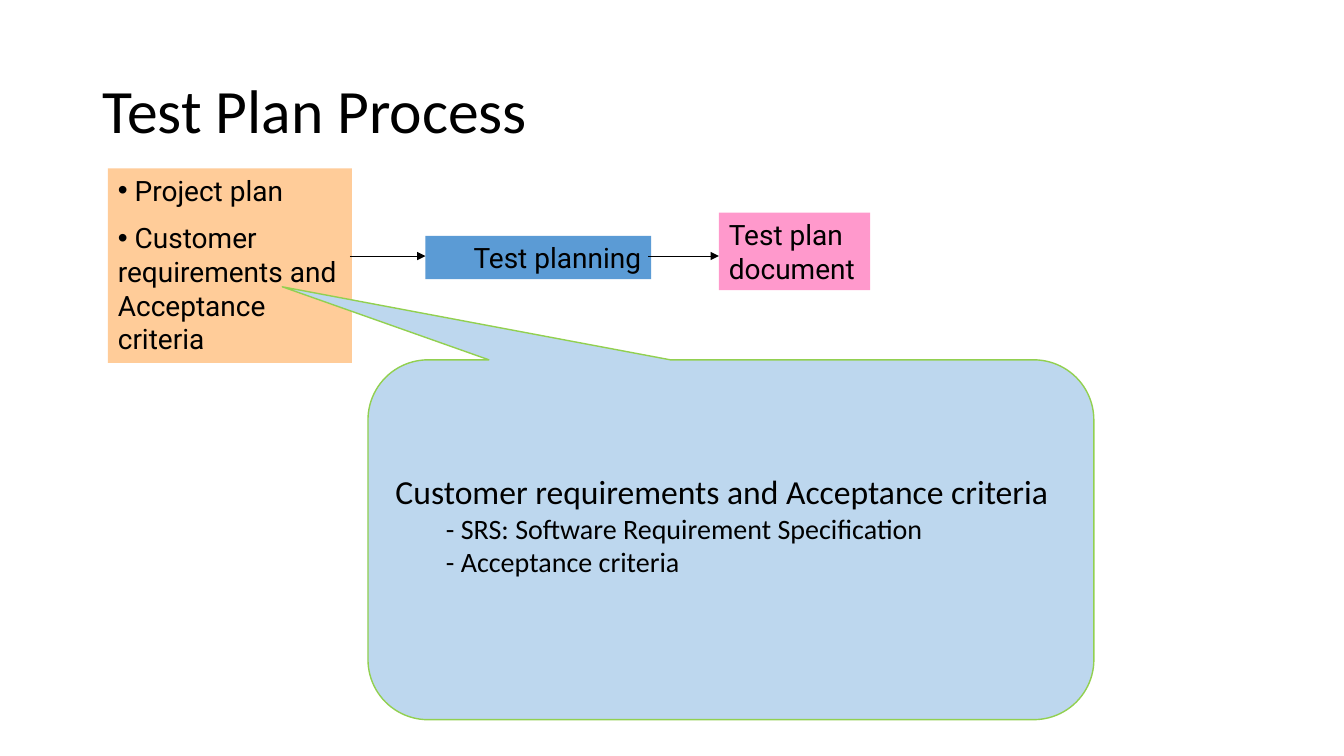
from pptx import Presentation
from pptx.dml.color import RGBColor
from pptx.enum.shapes import MSO_CONNECTOR as Conn, MSO_SHAPE as Shape
from pptx.enum.text import MSO_ANCHOR as Anchor, PP_ALIGN as Align
from pptx.oxml.ns import qn
from pptx.util import Inches, Pt
from lxml.etree import SubElement

BLACK = RGBColor(0x00, 0x00, 0x00)
BLUE = RGBColor(0x5B, 0x9B, 0xD5)
ORANGE = RGBColor(0xFF, 0xCC, 0x99)
PINK = RGBColor(0xFF, 0x99, 0xCC)
PALE_BLUE = RGBColor(0xBD, 0xD7, 0xEE)
GREEN = RGBColor(0x92, 0xD0, 0x50)
W, H = Inches(13.33), Inches(7.5)


def place(x, y, *size):
    """Turn percentages of the slide's width and height into lengths."""
    shares = (x, y, *size)
    return [round(v / 100 * (H if i % 2 else W)) for i, v in enumerate(shares)]


def add_text(tf, text, size=20, font="Roboto", align=Align.LEFT,
             bullet=None, before=0, indent=0, spacing=None):
    """Write one paragraph, using the empty first one if it is free."""
    p = tf.paragraphs[0]
    if p.runs:
        p = tf.add_paragraph()
    p.alignment, p.space_before, p.line_spacing = align, Pt(before), spacing
    pPr = p._p.get_or_add_pPr()
    pPr.set("marL", str(Inches(indent)))
    pPr.set("indent", "0")
    if bullet:
        SubElement(pPr, qn("a:buFont"), typeface="Arial")
        SubElement(pPr, qn("a:buChar"), char=bullet)
    r = p.add_run()
    r.text = text
    r.font.size, r.font.name, r.font.color.rgb = Pt(size), font, BLACK


def add_box(s, area, fill, kind=Shape.RECTANGLE, line=None, anchor=Anchor.TOP):
    """Draw a filled shape and return it."""
    sp = s.shapes.add_shape(kind, *place(*area))
    sp.shadow.inherit = False
    sp.fill.solid()
    sp.fill.fore_color.rgb = fill
    if line:
        sp.line.color.rgb, sp.line.width = line, Pt(1)
    else:
        sp.line.fill.background()
    sp.text_frame.word_wrap = True
    sp.text_frame.vertical_anchor = anchor
    return sp


def add_arrow(s, x1, x2, y):
    """Draw a horizontal arrow."""
    c = s.shapes.add_connector(Conn.STRAIGHT, *place(x1, y, x2, y))
    c.line.color.rgb, c.line.width = BLACK, Pt(0.75)
    SubElement(c.line._get_or_add_ln(), qn("a:tailEnd"), type="triangle")
    SubElement(c._element.spPr, qn("a:effectLst"))


def main():
    prs = Presentation()
    prs.slide_width, prs.slide_height = W, H
    s = prs.slides.add_slide(prs.slide_layouts[6])

    # Title
    tf = s.shapes.add_textbox(*place(6.9, 5.33, 86.27, 19.33)).text_frame
    tf.word_wrap, tf.vertical_anchor = True, Anchor.MIDDLE
    add_text(tf, "Test Plan Process", size=44, font="Calibri", spacing=0.9)

    # Process: inputs, activity, output
    planning = add_box(s, (31.66, 31.2, 16.8, 5.73), BLUE)
    add_text(planning.text_frame, "Test planning", align=Align.RIGHT)
    inputs = add_box(s, (8.03, 22.27, 18.15, 25.73), ORANGE).text_frame
    add_text(inputs, " Project plan", bullet="•")
    add_text(inputs, " Customer requirements and Acceptance criteria",
             bullet="•", before=10)
    document = add_box(s, (53.49, 28.13, 11.25, 10.27), PINK)
    add_text(document.text_frame, "Test plan document")
    for x1, x2 in ((26.03, 31.66), (48.24, 53.49)):
        add_arrow(s, x1, x2, 33.87)

    # Callout explaining the customer requirements
    callout = add_box(s, (27.38, 47.6, 54.01, 47.6), PALE_BLUE,
                      Shape.ROUNDED_RECTANGULAR_CALLOUT, GREEN, Anchor.MIDDLE)
    for i, value in enumerate((-0.618, -0.703, 0.167)):
        callout.adjustments[i] = value
    tf = callout.text_frame
    tf.margin_bottom = Inches(0.35)
    add_text(tf, "Customer requirements and Acceptance criteria",
             size=24, font="Calibri")
    for item in ("SRS: Software Requirement Specification",
                 "Acceptance criteria"):
        add_text(tf, f"- {item}", font="Calibri", indent=0.5)

    prs.save("out.pptx")


main()
